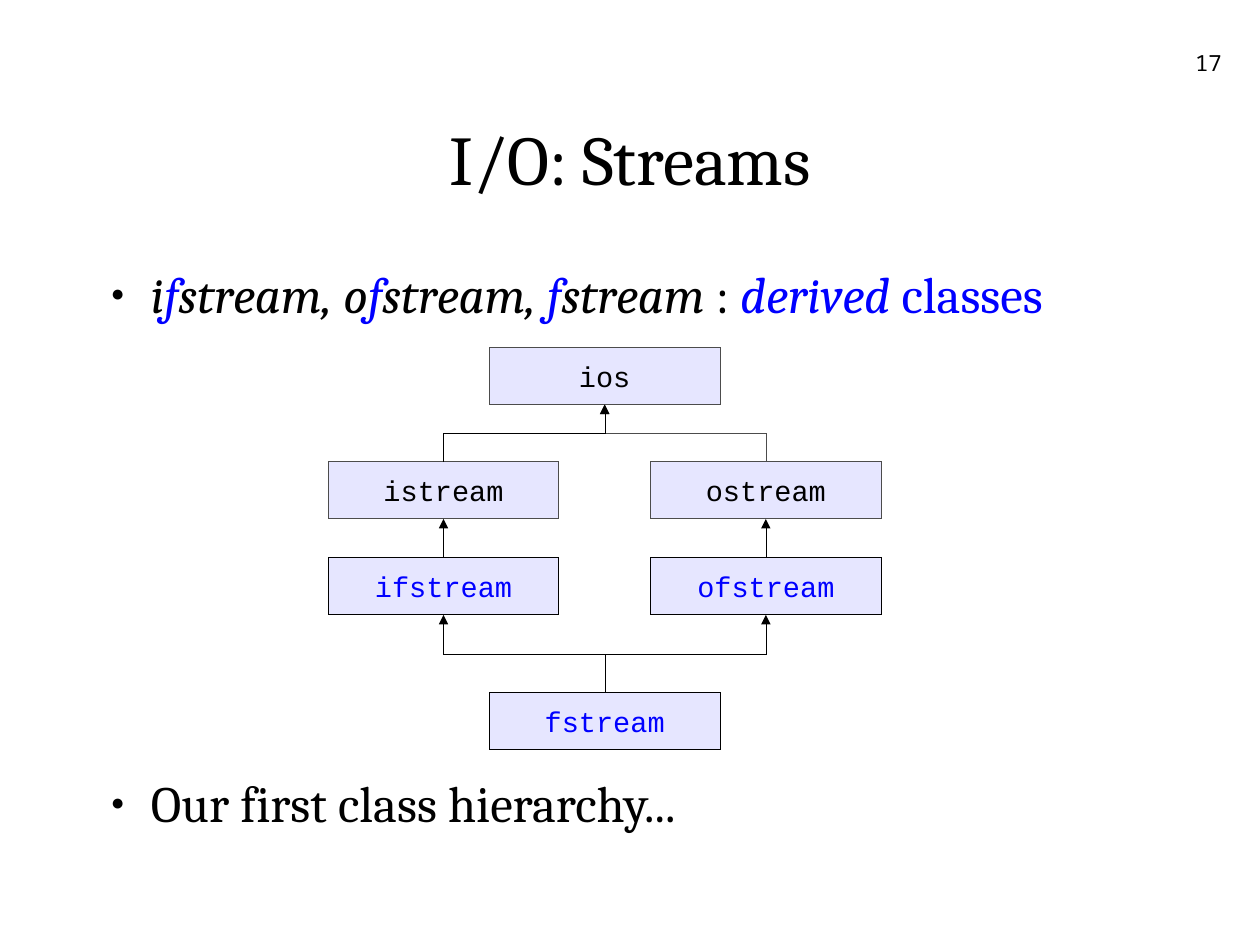
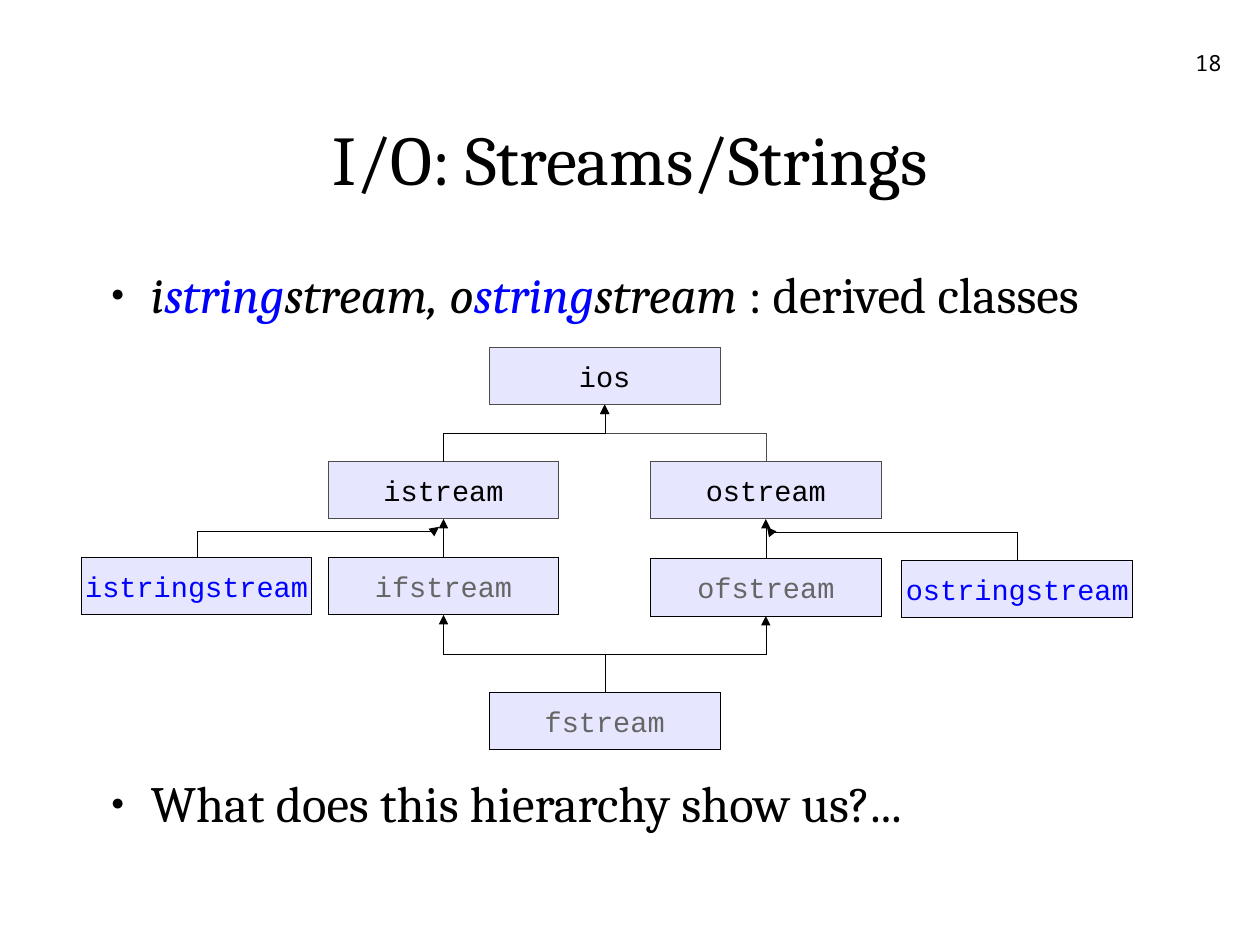
"""Builds two slides showing the C++ stream class hierarchy."""
from dataclasses import dataclass

from pptx import Presentation
from pptx.dml.color import RGBColor
from pptx.enum.shapes import MSO_CONNECTOR, MSO_SHAPE
from pptx.enum.text import MSO_ANCHOR, MSO_AUTO_SIZE, PP_ALIGN
from pptx.oxml.ns import qn
from pptx.util import Cm, Inches, Pt
from lxml.etree import SubElement


@dataclass(frozen=True)
class Theme:
    black: str = "000000"
    blue: str = "0000FF"
    grey: str = "666666"
    edge: str = "4C4C4C"
    fill: str = "E6E6FF"
    serif: str = "Cambria"
    code: str = "Courier New"
    mono: str = "Noto Sans Mono"
    title_size: int = 44
    body_size: int = 32
    code_size: int = 18
    number_size: int = 14


THEME = Theme()
BLACK, BLUE, GREY, EDGE = THEME.black, THEME.blue, THEME.grey, THEME.edge

PAGE_SIZE = (Cm(28), Cm(21))
TITLE_AREA = (0.81, 0.69, 9.41, 1.38)
BODY_AREA = (0.85, 2.3, 9.41, 5.6)
NUMBER_AREA = (8.12, 0.43, 2.57, 0.57)
BOX_WIDTH, BOX_HEIGHT = 2.02, 0.5
LEFT, MIDDLE, RIGHT = 2.87, 4.28, 5.69
DIAGRAM_GAP = 282.4
TOP_SITE, BOTTOM_SITE = 0, 2

BASE_BOXES = [
    ("ios", MIDDLE, 3.04, BLACK, EDGE),
    ("istream", LEFT, 4.04, BLACK, EDGE),
    ("ostream", RIGHT, 4.04, BLACK, EDGE),
]
LINKS = [
    ("ostream", "ios", EDGE),
    ("ifstream", "istream", BLACK),
    ("ofstream", "ostream", BLACK),
    ("fstream", "ofstream", BLACK),
    ("fstream", "ifstream", BLACK),
    ("istream", "ios", BLACK),
]


def file_boxes(color, output_top):
    return [
        ("ifstream", LEFT, 4.88, color, BLACK),
        ("ofstream", RIGHT, output_top, color, BLACK),
        ("fstream", MIDDLE, 6.06, color, BLACK),
    ]


SLIDES = [
    {
        "number": 17,
        "title": "I/O: Streams",
        "bullets": [
            [("i", BLACK, True), ("f", BLUE, True), ("stream, o", BLACK, True),
             ("f", BLUE, True), ("stream, ", BLACK, True), ("f", BLUE, True),
             ("stream", BLACK, True), (" : ", BLACK, False),
             ("derived", BLUE, True), (" classes", BLUE, False)],
            [("Our first class hierarchy...", BLACK, False)],
        ],
        "boxes": BASE_BOXES + file_boxes(BLUE, 4.88),
        "side_links": [],
    },
    {
        "number": 18,
        "title": "I/O: Streams/Strings",
        "bullets": [
            [("i", BLACK, True), ("string", BLUE, True), ("stream, o", BLACK, True),
             ("string", BLUE, True), ("stream", BLACK, True),
             (" : derived classes", BLACK, False)],
            [("What does this hierarchy show us?...", BLACK, False)],
        ],
        "boxes": BASE_BOXES + file_boxes(GREY, 4.89) + [
            ("istringstream", 0.71, 4.88, BLUE, BLACK),
            ("ostringstream", 7.89, 4.9, BLUE, BLACK),
        ],
        "side_links": [
            ("istringstream", (3.84, 4.61), 0.87),
            ("ostringstream", (6.71, 4.61), 0.84),
        ],
    },
]


def add_span(para, text, color, **formats):
    span = para.add_run()
    span.text = text
    for name, value in formats.items():
        setattr(span.font, name, value)
    span.font.color.rgb = RGBColor.from_string(color)


def prepare_frame(shape, anchor):
    frame = shape.text_frame
    formats = {"margin_left": 0, "margin_right": 0, "margin_top": 0, "margin_bottom": 0,
               "word_wrap": True, "auto_size": MSO_AUTO_SIZE.NONE, "vertical_anchor": anchor}
    for name, value in formats.items():
        setattr(frame, name, value)
    return frame


def move(shape, area):
    for name, value in zip(("left", "top", "width", "height"), area):
        setattr(shape, name, Inches(value))


def draw_hairline(shape, color):
    shape._element.remove(shape._element.find(qn("p:style")))
    shape.line.color.rgb = RGBColor.from_string(color)
    shape.line.width = 0


def add_bullet(para):
    properties = para._p.get_or_add_pPr()
    properties.set("marL", str(Inches(0.47)))
    properties.set("indent", str(Inches(-0.35)))
    color = SubElement(properties, qn("a:buClr"))
    SubElement(color, qn("a:srgbClr"), val=BLACK)
    SubElement(properties, qn("a:buSzPct"), val="45000")
    SubElement(properties, qn("a:buChar"), char="●")


def add_texts(page, content):
    title = page.shapes.title
    move(title, TITLE_AREA)
    para = prepare_frame(title, MSO_ANCHOR.MIDDLE).paragraphs[0]
    para.alignment = PP_ALIGN.CENTER
    add_span(para, content["title"], BLACK, name=THEME.serif, size=Pt(THEME.title_size))

    body = page.placeholders[1]
    move(body, BODY_AREA)
    frame = prepare_frame(body, MSO_ANCHOR.TOP)
    for index, spans in enumerate(content["bullets"]):
        para = frame.add_paragraph() if index else frame.paragraphs[0]
        add_bullet(para)
        para.space_before = Pt(DIAGRAM_GAP if index else 0)
        para.space_after = Pt(0)
        for text, color, italic in spans:
            add_span(para, text, color, name=THEME.serif, size=Pt(THEME.body_size), italic=italic)

    number = page.shapes.add_textbox(*map(Inches, NUMBER_AREA))
    para = prepare_frame(number, MSO_ANCHOR.TOP).paragraphs[0]
    para.alignment = PP_ALIGN.RIGHT
    add_span(para, str(content["number"]), BLACK, name=THEME.mono, size=Pt(THEME.number_size))


def add_box(page, text, left, top, color, edge):
    area = map(Inches, (left, top, BOX_WIDTH, BOX_HEIGHT))
    box = page.shapes.add_shape(MSO_SHAPE.RECTANGLE, *area)
    box.shadow.inherit = False
    box.fill.solid()
    box.fill.fore_color.rgb = RGBColor.from_string(THEME.fill)
    draw_hairline(box, edge)
    para = prepare_frame(box, MSO_ANCHOR.MIDDLE).paragraphs[0]
    para.alignment = PP_ALIGN.CENTER
    add_span(para, text, color, name=THEME.code, size=Pt(THEME.code_size))
    return box


def turn_upright(connector, start, end, bend):
    """Turns an elbow so that it leaves its start upwards."""
    (start_x, start_y), (end_x, end_y) = start, end
    width, height = start_y - end_y, abs(end_x - start_x)
    connector.left = (start_x + end_x - width) // 2
    connector.top = (start_y + end_y - height) // 2
    connector.width, connector.height = width, height
    rightward = end_x > start_x
    frame = connector._element.spPr.find(qn("a:xfrm"))
    for name, value in {"rot": 5400000 if rightward else 16200000,
                        "flipH": int(rightward), "flipV": 1}.items():
        frame.set(name, str(value))
    guides = connector._element.spPr.find(qn("a:prstGeom")).find(qn("a:avLst"))
    SubElement(guides, qn("a:gd"), name="adj1", fmla=f"val {round(bend * 100000)}")


def add_arrow(page, child, color, parent=None, tip=None, bend=0.5):
    start = (child.left + child.width // 2, child.top)
    end = tip or (parent.left + parent.width // 2, parent.top + parent.height)
    straight = start[0] == end[0]
    kind = MSO_CONNECTOR.STRAIGHT if straight else MSO_CONNECTOR.ELBOW
    connector = page.shapes.add_connector(kind, *start, *end)
    connector.begin_connect(child, TOP_SITE)
    if parent is not None:
        connector.end_connect(parent, BOTTOM_SITE)
    if not straight:
        turn_upright(connector, start, end, bend)
    draw_hairline(connector, color)
    SubElement(connector.line._get_or_add_ln(), qn("a:tailEnd"), type="triangle")
    SubElement(connector._element.spPr, qn("a:effectLst"))


def build_slide(deck, content):
    page = deck.slides.add_slide(deck.slide_layouts[1])
    add_texts(page, content)
    boxes = {box[0]: add_box(page, *box) for box in content["boxes"]}
    for child, parent, color in LINKS:
        add_arrow(page, boxes[child], color, parent=boxes[parent])
    for child, tip, bend in content["side_links"]:
        add_arrow(page, boxes[child], BLACK, tip=tuple(map(Inches, tip)), bend=bend)


def main():
    deck = Presentation()
    deck.slide_width, deck.slide_height = PAGE_SIZE
    for content in SLIDES:
        build_slide(deck, content)
    deck.save("out.pptx")


if __name__ == "__main__":
    main()
